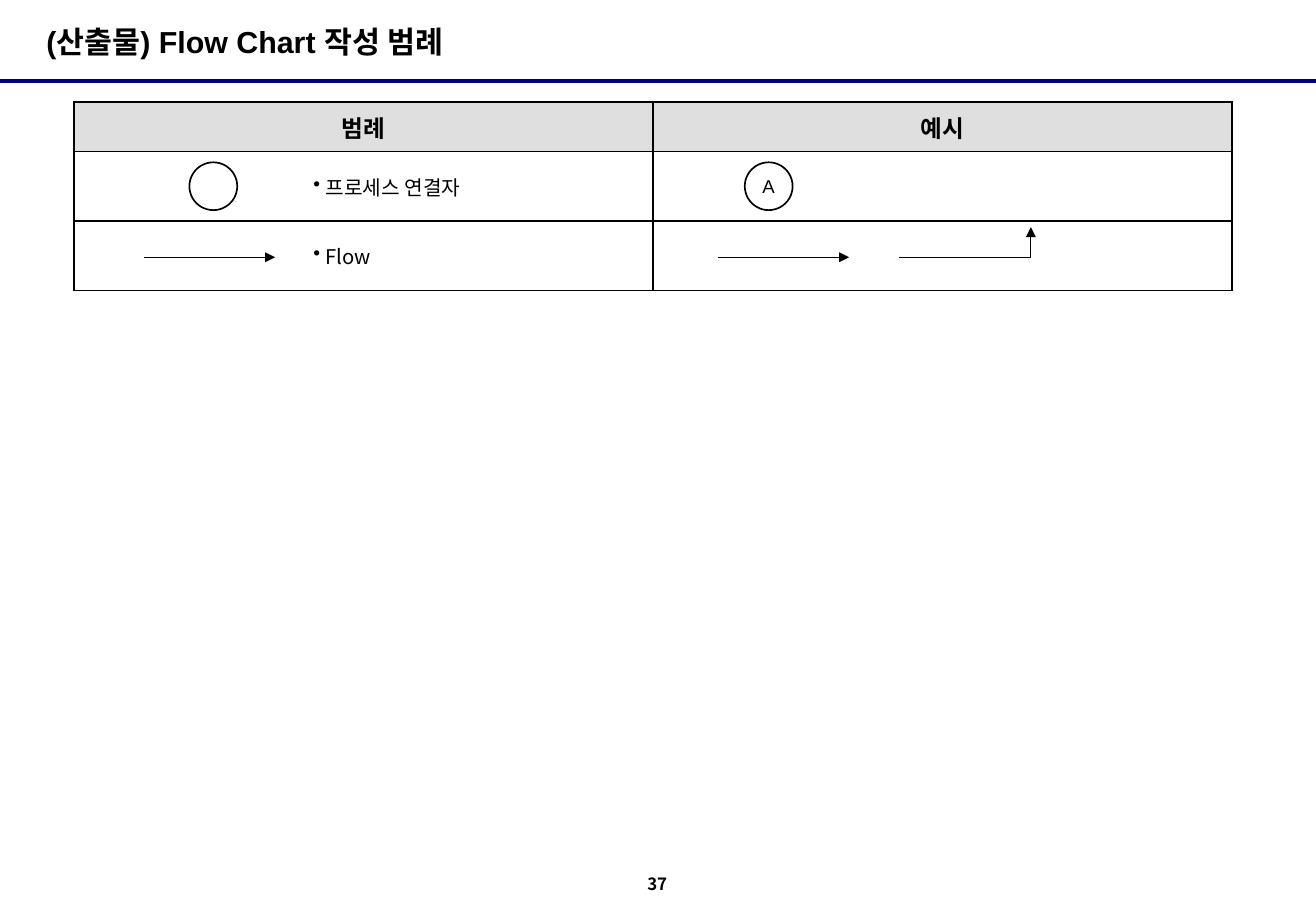
from dataclasses import dataclass

from pptx import Presentation
from pptx.dml.color import RGBColor
from pptx.enum.shapes import MSO_CONNECTOR, MSO_SHAPE
from pptx.enum.text import MSO_ANCHOR, PP_ALIGN
from pptx.oxml.ns import qn
from pptx.util import Cm, Pt
from lxml import etree


@dataclass(frozen=True)
class Theme:
    """Colours, fonts and type sizes of the slide."""
    ink = RGBColor(0, 0, 0)
    paper = RGBColor(0xFF, 0xFF, 0xFF)
    navy = RGBColor(0, 0, 0x80)
    header = RGBColor(0xDF, 0xDF, 0xDF)
    latin = "Arial"
    korean = "Noto Sans CJK KR"
    title, heading, body, label, page = Pt(18), Pt(14), Pt(12), Pt(11), Pt(10)


def write(frame, text, size, font, bold=False, align=PP_ALIGN.CENTER):
    """Put one formatted paragraph in a text frame and return it."""
    paragraph = frame.paragraphs[0]
    paragraph.alignment = align
    run = paragraph.add_run()
    run.text = text
    run.font.size, run.font.bold, run.font.name = size, bold, font
    run.font.color.rgb = Theme.ink
    etree.SubElement(run.font._element, qn("a:ea"), typeface=Theme.korean)
    return paragraph


def stroke(shape, color, width, arrow=False):
    """Draw a plain outline without shadow, with an optional arrowhead."""
    shape.line.color.rgb = color
    shape.line.width = width
    if arrow:
        etree.SubElement(shape.line._get_or_add_ln(), qn("a:tailEnd"), type="triangle")
    etree.SubElement(shape._element.spPr, qn("a:effectLst"))


prs = Presentation()
prs.slide_width, prs.slide_height = Cm(27.51), Cm(19.05)
slide = prs.slides.add_slide(prs.slide_layouts[5])
shapes = slide.shapes

# Title, rule and page number
rule = shapes.add_connector(MSO_CONNECTOR.STRAIGHT, 0, Cm(1.7), prs.slide_width, Cm(1.7))
stroke(rule, Theme.navy, Pt(2.25))

title = shapes.title
title.left, title.top, title.width, title.height = Cm(0.97), 0, Cm(18), Cm(1.73)
frame = title.text_frame
frame.margin_left = frame.margin_right = frame.margin_top = frame.margin_bottom = 0
frame.vertical_anchor = MSO_ANCHOR.MIDDLE
write(frame, "(산출물) Flow Chart 작성 범례", Theme.title, Theme.latin, True, PP_ALIGN.LEFT)

page = shapes.add_textbox(Cm(12.04), Cm(17.93), Cm(3.4), Cm(1.12)).text_frame
page.word_wrap = True
page.vertical_anchor = MSO_ANCHOR.MIDDLE
write(page, "37", Theme.page, Theme.korean, True)

# Legend table
left, top, column = 1.55, 2.13, 12.1
row_heights = [1.04, 1.45, 1.45]
rows = [["범례", "예시"], ["프로세스 연결자", ""], ["Flow", ""]]
table = shapes.add_table(3, 2, Cm(left), Cm(top), Cm(2 * column), Cm(sum(row_heights))).table
for col in table.columns:
    col.width = Cm(column)
for r, (height, texts) in enumerate(zip(row_heights, rows)):
    table.rows[r].height = Cm(height)
    for c, text in enumerate(texts):
        cell = table.cell(r, c)
        cell.vertical_anchor = MSO_ANCHOR.MIDDLE
        properties = cell._tc.get_or_add_tcPr()
        for side in ("a:lnL", "a:lnR", "a:lnT", "a:lnB"):
            border = etree.SubElement(properties, qn(side), w=str(Pt(1)))
            solid = etree.SubElement(border, qn("a:solidFill"))
            etree.SubElement(solid, qn("a:srgbClr"), val=str(Theme.ink))
        cell.fill.solid()
        cell.fill.fore_color.rgb = Theme.paper if r else Theme.header
        if r == 0:
            write(cell.text_frame, text, Theme.heading, Theme.korean, True)
        elif text:
            cell.margin_left = Cm(5)
            item = write(cell.text_frame, text, Theme.body, Theme.korean, align=PP_ALIGN.LEFT)
            indent = Cm(0.26)
            bullet = item._p.get_or_add_pPr()
            bullet.set("marL", str(indent))
            bullet.set("indent", str(-indent))
            etree.SubElement(bullet, qn("a:buChar"), char="•")

# Process connectors: symbol and example
diameter = 1
circle_top = top + row_heights[0] + (row_heights[1] - diameter) / 2
for x, label in [(3.96, ""), (15.57, "A")]:
    circle = shapes.add_shape(MSO_SHAPE.FLOWCHART_CONNECTOR, Cm(x), Cm(circle_top),
                              Cm(diameter), Cm(diameter))
    circle.fill.solid()
    circle.fill.fore_color.rgb = Theme.paper
    stroke(circle, Theme.ink, Pt(1))
    if label:
        frame = circle.text_frame
        frame.margin_left = frame.margin_right = Cm(0.05)
        frame.margin_top = frame.margin_bottom = 0
        frame.vertical_anchor = MSO_ANCHOR.MIDDLE
        write(frame, label, Theme.label, Theme.latin)

# Flow arrows: straight symbol, straight example, bent example
flow_y, flow_length = 5.38, 2.75
for x in (3, 15):
    flow = shapes.add_connector(MSO_CONNECTOR.STRAIGHT, Cm(x), Cm(flow_y),
                                Cm(x + flow_length), Cm(flow_y))
    stroke(flow, Theme.ink, Pt(0.75), arrow=True)

bend_start, bend_rise = 18.8, 0.63
bend_end = bend_start + flow_length
builder = shapes.build_freeform(Cm(bend_start), Cm(flow_y))
builder.add_line_segments([(Cm(bend_end), Cm(flow_y)),
                           (Cm(bend_end), Cm(flow_y - bend_rise))], close=False)
bent_flow = builder.convert_to_shape()
bent_flow.fill.background()
stroke(bent_flow, Theme.ink, Pt(0.75), arrow=True)

prs.save("out.pptx")
